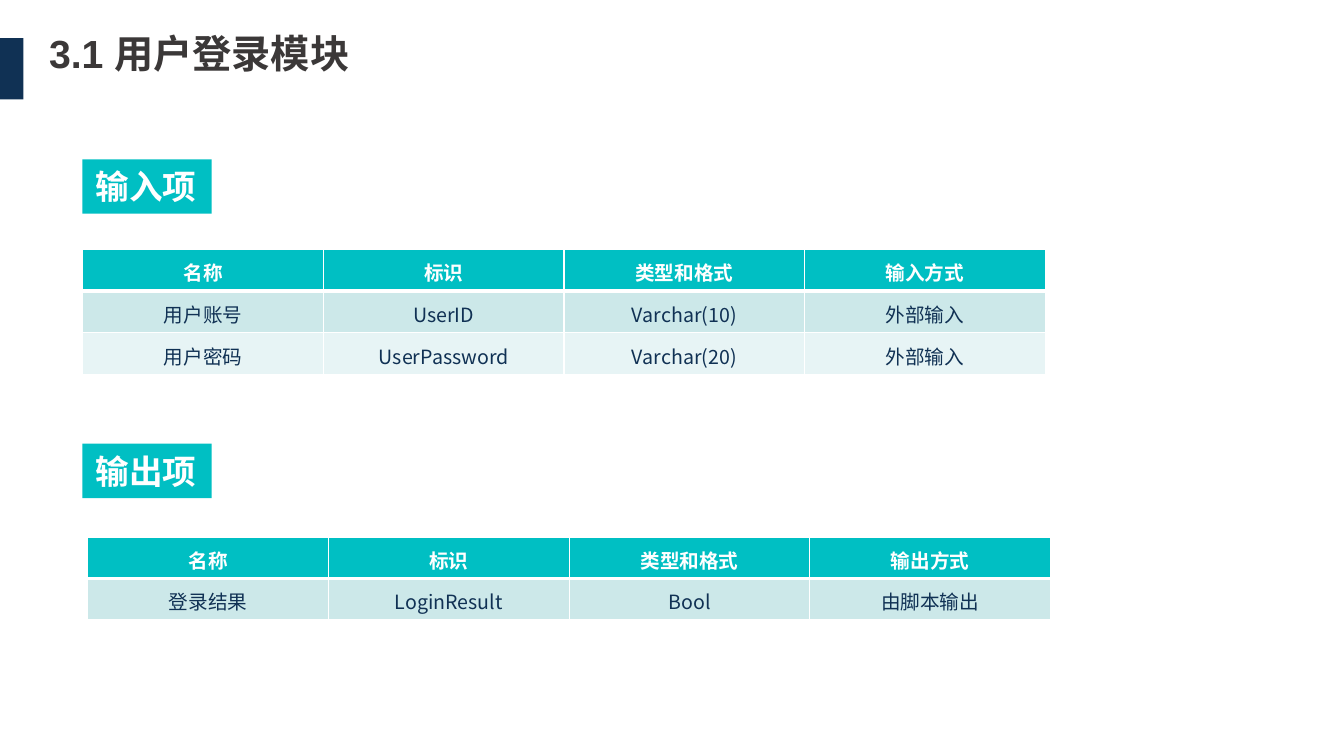
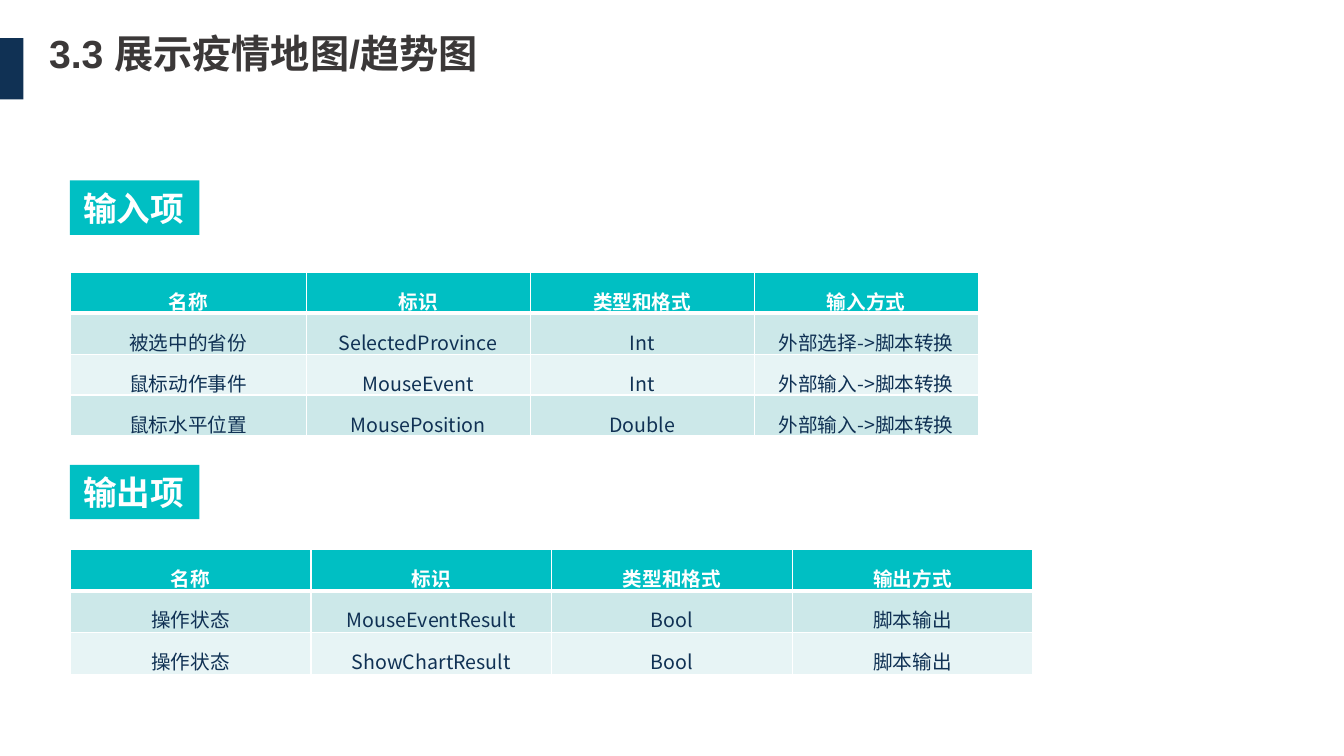
from lxml.etree import SubElement
from pptx import Presentation
from pptx.dml.color import RGBColor
from pptx.enum.shapes import MSO_SHAPE
from pptx.enum.text import MSO_ANCHOR, PP_ALIGN
from pptx.oxml.ns import qn
from pptx.util import Pt

COLORS = {
    "navy": "103154",
    "teal": "00BFC3",
    "title": "3B3838",
    "white": "FFFFFF",
    "band_dark": "CCE8E9",
    "band_light": "E7F4F5",
}
LATIN_FONT, CJK_FONT = "Arial", "Noto Sans CJK SC"
TABLE_WIDTH = 687.6


def rgb(name):
    return RGBColor.from_string(COLORS[name])


class Deck:
    """Holds the shared style and the slide being built."""

    def __init__(self):
        self.prs = Presentation()
        self.prs.slide_width, self.prs.slide_height = Pt(960), Pt(540)
        self.s = None

    def new_slide(self, title):
        self.s = self.prs.slides.add_slide(self.prs.slide_layouts[6])
        self.rect(0, 27.2, 16.8, 43.8, "navy")
        sp = self.s.shapes.add_textbox(Pt(28), Pt(20.9), Pt(368), Pt(41))
        tf = sp.text_frame
        tf.word_wrap = True
        p = tf.paragraphs[0]
        p.line_spacing = 0.9
        self.run(p, title, 28, "title", True, LATIN_FONT)

    def run(self, p, text, size, color, bold=False, font=CJK_FONT):
        r = p.add_run()
        r.text = text
        r.font.size, r.font.bold, r.font.name = Pt(size), bold, font
        r.font.color.rgb = rgb(color)
        SubElement(r.font._element, qn("a:ea")).set("typeface", CJK_FONT)

    def rect(self, x, y, w, h, color):
        sp = self.s.shapes.add_shape(MSO_SHAPE.RECTANGLE, Pt(x), Pt(y), Pt(w), Pt(h))
        sp.shadow.inherit = False
        sp.fill.solid()
        sp.fill.fore_color.rgb = rgb(color)
        sp.line.fill.background()
        return sp

    def tag(self, x, y, text):
        tf = self.rect(x, y, 92.4, 38.9, "teal").text_frame
        tf.word_wrap = False
        tf.vertical_anchor = MSO_ANCHOR.MIDDLE
        tf.margin_left = tf.margin_right = Pt(9.6)
        tf.margin_top = tf.margin_bottom = Pt(4.8)
        p = tf.paragraphs[0]
        p.alignment = PP_ALIGN.LEFT
        self.run(p, text, 24, "white", True)

    def border(self, cell, **widths):
        tcPr = cell._tc.get_or_add_tcPr()
        for side in "LRTB":
            ln = SubElement(tcPr, qn(f"a:ln{side}"), w=str(Pt(widths.get(side, 1))))
            fill = SubElement(ln, qn("a:solidFill"))
            SubElement(fill, qn("a:srgbClr"), val=COLORS["white"])

    def cell(self, cell, text, row, spacing, anchor):
        header = row == 0
        # The rule under the header is thicker than the grid
        self.border(cell, B=3 if header else 1, T=3 if row == 1 else 1)
        cell.fill.solid()
        band = "band_dark" if row % 2 else "band_light"
        cell.fill.fore_color.rgb = rgb("teal" if header else band)
        cell.vertical_anchor = anchor
        cell.margin_left = cell.margin_right = Pt(5.4)
        cell.margin_top = cell.margin_bottom = 0
        p = cell.text_frame.paragraphs[0]
        p.alignment, p.line_spacing = PP_ALIGN.CENTER, spacing
        pPr = p._p.get_or_add_pPr()
        pPr.set("marL", str(Pt(18)))
        pPr.set("indent", str(-Pt(18)))
        self.run(p, text, 14, "white" if header else "navy", header)

    def table(self, x, y, row_h, rows, spacing, anchor, widths=None):
        widths = widths or [TABLE_WIDTH / 4] * 4
        frame = self.s.shapes.add_table(len(rows), len(widths), Pt(x), Pt(y),
                                        Pt(sum(widths)), Pt(row_h * len(rows)))
        tbl = frame.table
        for col, w in zip(tbl.columns, widths):
            col.width = Pt(w)
        for i, texts in enumerate(rows):
            tbl.rows[i].height = Pt(row_h)
            for j, text in enumerate(texts):
                self.cell(tbl.cell(i, j), text, i, spacing, anchor)


def header(last):
    return ["名称", "标识", "类型和格式", last]


def main():
    deck = Deck()

    # Login module
    deck.new_slide("3.1 用户登录模块")
    style = {"spacing": 1.15, "anchor": MSO_ANCHOR.MIDDLE}
    deck.tag(58.8, 316.9, "输出项")
    deck.tag(58.8, 113.8, "输入项")
    deck.table(59.1, 178.1, 29.8, [
        header("输入方式"),
        ["用户账号", "UserID", "Varchar(10)", "外部输入"],
        ["用户密码", "UserPassword", "Varchar(20)", "外部输入"],
    ], **style)
    deck.table(62.8, 383.8, 29.4, [
        header("输出方式"),
        ["登录结果", "LoginResult", "Bool", "由脚本输出"],
    ], **style)

    # Map and trend chart
    deck.new_slide("3.3 展示疫情地图/趋势图")
    style = {"spacing": 1.5, "anchor": MSO_ANCHOR.TOP}
    deck.tag(50, 332, "输出项")
    deck.tag(50, 128.9, "输入项")
    deck.table(50.2, 194.6, 29.2, [
        header("输入方式"),
        ["被选中的省份", "SelectedProvince", "Int", "外部选择->脚本转换"],
        ["鼠标动作事件", "MouseEvent", "Int", "外部输入->脚本转换"],
        ["鼠标水平位置", "MousePosition", "Double", "外部输入->脚本转换"],
    ], widths=[168.5, 160, 160, 160], **style)
    deck.table(50.2, 392.2, 29.8, [
        header("输出方式"),
        ["操作状态", "MouseEventResult", "Bool", "脚本输出"],
        ["操作状态", "ShowChartResult", "Bool", "脚本输出"],
    ], **style)

    deck.prs.save("out.pptx")


if __name__ == "__main__":
    main()
